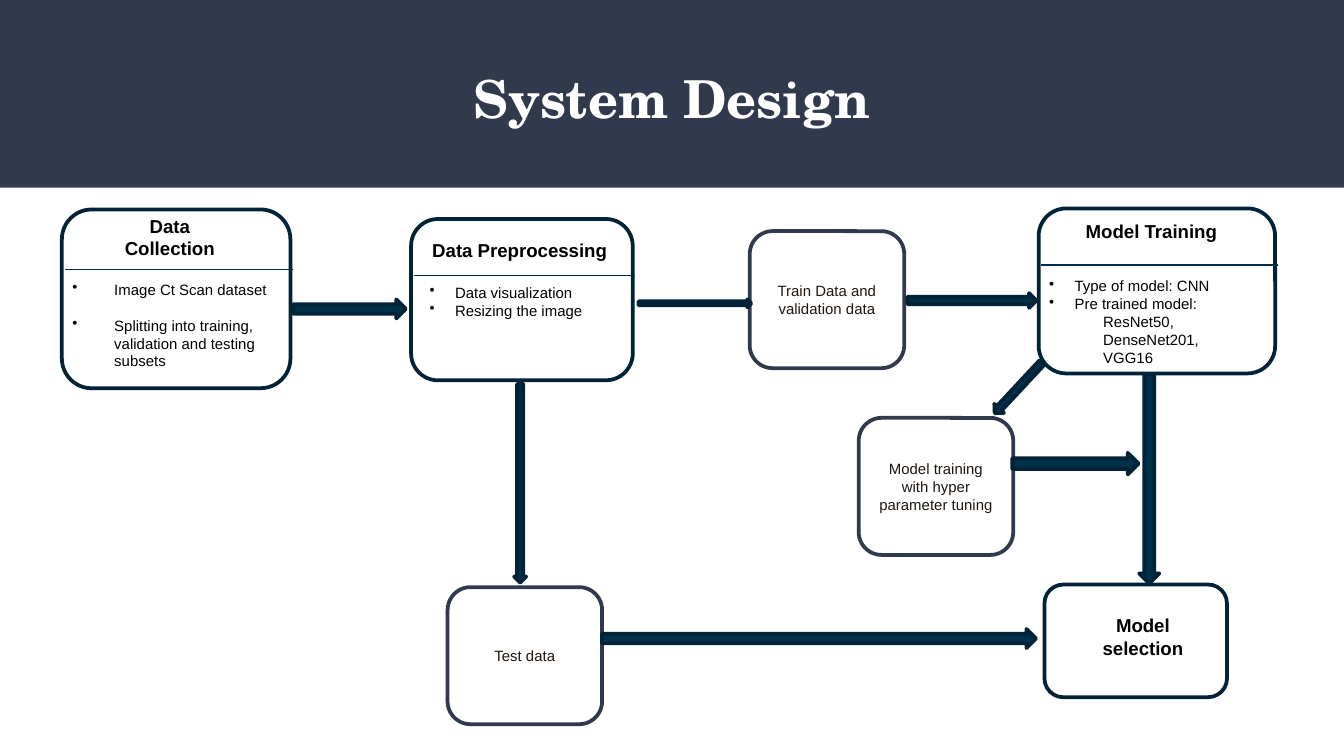
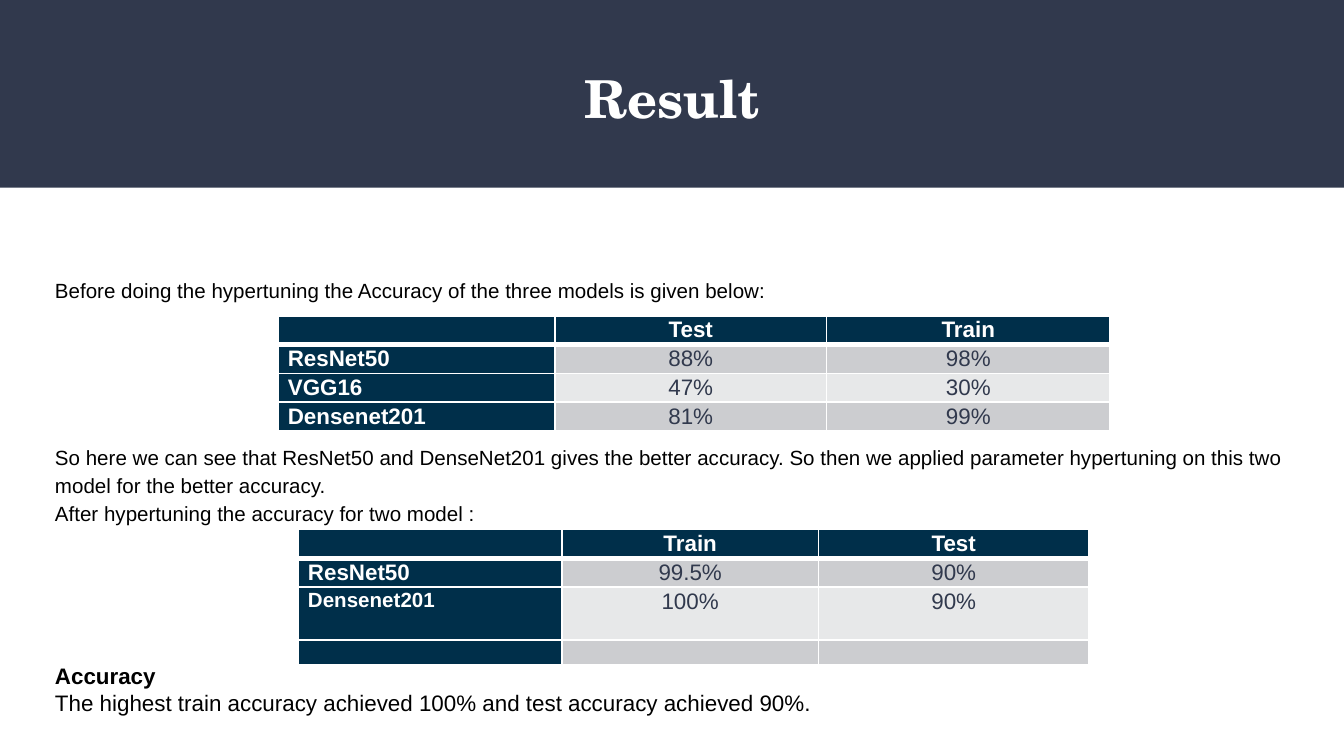
from lxml import etree
from pptx import Presentation
from pptx.dml.color import RGBColor
from pptx.enum.shapes import MSO_CONNECTOR as Connector, MSO_SHAPE as Preset
from pptx.enum.text import MSO_ANCHOR as Anchor, PP_ALIGN as Align
from pptx.oxml.ns import qn
from pptx.util import Cm, Pt

SLIDE_WIDTH, SLIDE_HEIGHT = 25.4, 14.29
SLATE = RGBColor(0x31, 0x39, 0x4D)
NAVY = RGBColor(0x00, 0x2F, 0x4A)
DIVIDER = RGBColor(0x00, 0x2E, 0x48)
OUTLINE = RGBColor(0x00, 0x23, 0x37)
BROWN = RGBColor(0x1F, 0x16, 0x0F)
BLACK = RGBColor(0x00, 0x00, 0x00)
WHITE = RGBColor(0xFF, 0xFF, 0xFF)
STRIPES = (RGBColor(0xCC, 0xCD, 0xD0), RGBColor(0xE7, 0xE8, 0xE9))
BODY_FONT, TITLE_FONT = "Arial", "TeX Gyre Schola"


def lengths(box):
    return [Cm(value) for value in box]


def format_runs(paragraph, size, color=BLACK, bold=False, name=BODY_FONT):
    for run in paragraph.runs:
        font = run.font
        font.name, font.size, font.bold = name, Pt(size), bold
        font.color.rgb = color


def add_text(slide, box, lines, size, color=BLACK, bold=False, name=BODY_FONT):
    frame = slide.shapes.add_textbox(*lengths(box)).text_frame
    frame.word_wrap = True
    frame.text = "\n".join(lines)
    for paragraph in frame.paragraphs:
        format_runs(paragraph, size, color, bold, name)
    return frame


def add_preset(slide, preset, box, fill=None, line=None, rotation=0):
    shape = slide.shapes.add_shape(preset, *lengths(box))
    shape.shadow.inherit = False
    shape.rotation = rotation
    if fill is None:
        shape.fill.background()
    else:
        shape.fill.solid()
        shape.fill.fore_color.rgb = fill
    if line is None:
        shape.line.fill.background()
    else:
        shape.line.color.rgb = line
        shape.line.width = Pt(2)
    return shape


def set_indent(paragraph, left, first=0, bullet=False):
    properties = paragraph._p.get_or_add_pPr()
    properties.set("marL", str(Cm(left)))
    properties.set("indent", str(Cm(first)))
    if bullet:
        etree.SubElement(properties, qn("a:buChar")).set("char", "•")


def add_title_slide(presentation, title, title_width):
    slide = presentation.slides.add_slide(presentation.slide_layouts[6])
    add_preset(slide, Preset.RECTANGLE, (0, 0, SLIDE_WIDTH, 3.55), SLATE)
    box = ((SLIDE_WIDTH - title_width) / 2, 1, title_width, 1.73)
    frame = add_text(slide, box, [title], 28, WHITE, True, TITLE_FONT)
    frame.margin_top = frame.margin_bottom = Cm(0.25)
    frame.paragraphs[0].alignment = Align.CENTER
    return slide


def add_card(slide, box, heading, heading_box, divider=None):
    left, top, width, _ = box
    add_preset(slide, Preset.ROUNDED_RECTANGLE, box, line=OUTLINE)
    if divider is not None:
        start, y = left + 0.05, top + divider
        line = slide.shapes.add_connector(
            Connector.STRAIGHT, *lengths((start, y, start + width, y)))
        line.line.color.rgb = DIVIDER
        line.line.width = Pt(0.75)
        etree.SubElement(line._element.spPr, qn("a:effectLst"))
    dx, dy, *size = heading_box
    frame = add_text(slide, (left + dx, top + dy, *size), [heading], 10, bold=True)
    return frame.paragraphs[0]


def add_card_list(slide, card, list_box, items, hang, sub_items=()):
    dx, dy, *size = list_box
    box = (card[0] + dx, card[1] + dy, *size)
    frame = add_text(slide, box, [*items, *sub_items], 8)
    for index, paragraph in enumerate(frame.paragraphs):
        if index < len(items):
            set_indent(paragraph, hang, -hang, bullet=True)
        else:
            set_indent(paragraph, 1.02)
    return frame.paragraphs


def add_data_box(slide, left, top, text):
    shape = add_preset(slide, Preset.ROUNDED_RECTANGLE, (left, top, 2.92, 2.59), WHITE, SLATE)
    frame = shape.text_frame
    frame.text = text
    frame.word_wrap = True
    frame.vertical_anchor = Anchor.MIDDLE
    frame.paragraphs[0].alignment = Align.CENTER
    format_runs(frame.paragraphs[0], 8, BROWN)


def add_system_design(presentation):
    slide = add_title_slide(presentation, "System Design", 8.89)

    collection = (1.17, 3.96, 4.32, 3.38)
    heading = add_card(slide, collection, "Data Collection", (0.94, -0.03, 3.02, 1.12), 1.14)
    set_indent(heading, 0, 0.47)
    steps = add_card_list(
        slide, collection, (-0.05, 1.22, 4.24, 1.96),
        ["Image Ct Scan dataset", "Splitting into training, validation and testing subsets"], 0.79)
    steps[1].space_before = Pt(9.5)

    training = (19.63, 3.94, 4.47, 3.12)
    add_card(slide, training, "Model Training", (0.64, 0.1, 3.2, 0.69), 1.07)
    add_card_list(
        slide, training, (-0.05, 1.17, 3.7, 1.96),
        ["Type of model: CNN", "Pre trained model:"], 0.48,
        ["ResNet50,", "DenseNet201,", "VGG16"])

    preprocessing = (7.77, 4.14, 4.19, 3.05)
    add_card(slide, preprocessing, "Data Preprocessing", (0.15, 0.25, 3.95, 0.69), 1.07)
    add_card_list(
        slide, preprocessing, (0.1, 1.09, 4.27, 0.94),
        ["Data visualization", "Resizing the image"], 0.48)

    selection = (19.74, 11.05, 3.45, 2.13)
    heading = add_card(slide, selection, "Model selection", (0.81, 0.43, 2.1, 1.12))
    heading.alignment = Align.CENTER

    for left, top, text in (
        (16.23, 7.9, "Model training with hyper parameter tuning"),
        (14.17, 4.37, "Train Data and validation data"),
        (8.46, 11.1, "Test data"),
    ):
        add_data_box(slide, left, top, text)

    for *box, rotation in (
        (5.54, 5.66, 2.13, 0.36, 0),
        (17.15, 5.54, 2.44, 0.28, 0),
        (19.74, 8.86, 3.96, 0.38, 90),
        (11.38, 11.89, 8.2, 0.36, 0),
        (18.59, 7.21, 1.3, 0.25, 133),
        (19.13, 8.56, 2.39, 0.41, 0),
        (12.07, 5.66, 2.13, 0.15, 0),
        (7.95, 9.02, 3.76, 0.23, 90),
    ):
        add_preset(slide, Preset.RIGHT_ARROW, box, NAVY, OUTLINE, rotation)


def set_borders(cell, row):
    properties = cell._tc.get_or_add_tcPr()
    widths = {"L": 1, "R": 1, "T": 3 if row == 1 else 1, "B": 3 if row == 0 else 1}
    for side, width in widths.items():
        border = etree.SubElement(properties, qn(f"a:ln{side}"), w=str(Pt(width)))
        fill = etree.SubElement(border, qn("a:solidFill"))
        etree.SubElement(fill, qn("a:srgbClr"), val=str(WHITE))


def add_accuracy_table(slide, left, top, widths, heights, rows):
    box = lengths((left, top, sum(widths), sum(heights)))
    table = slide.shapes.add_table(len(rows), len(widths), *box).table
    for column, width in zip(table.columns, widths):
        column.width = Cm(width)
    for r, values in enumerate(rows):
        table.rows[r].height = Cm(heights[r])
        for c, value in enumerate(values):
            cell = table.cell(r, c)
            header = r == 0 or c == 0
            set_borders(cell, r)
            cell.fill.solid()
            cell.fill.fore_color.rgb = NAVY if header else STRIPES[(r - 1) % 2]
            cell.margin_left = cell.margin_right = Cm(0.18)
            cell.margin_top = cell.margin_bottom = 0
            cell.text = value
            paragraph = cell.text_frame.paragraphs[0]
            paragraph.line_spacing = 1.07
            paragraph.alignment = Align.LEFT if c == 0 else Align.CENTER
            format_runs(paragraph, 12, WHITE if header else SLATE, header)
            if not value:
                etree.SubElement(paragraph._p, qn("a:endParaRPr"), sz="800")
    return table


def add_result(presentation):
    slide = add_title_slide(presentation, "Result", 4.98)
    frame = add_text(slide, (0.79, 4.11, 24.38, 10.1), [
        "Before doing the hypertuning the Accuracy of the three models is given below:",
        "So here we can see that ResNet50 and DenseNet201 gives the better accuracy. "
        "So then we applied parameter hypertuning on this two model for the better accuracy.",
        "After hypertuning the accuracy for two model :",
        "Accuracy",
        "The highest train accuracy achieved 100% and test accuracy achieved 90%.",
    ], 11)
    frame.margin_top = Cm(1.08)
    before, findings, after, accuracy, summary = frame.paragraphs
    for paragraph in (before, findings, after):
        paragraph.line_spacing = 1.15
    findings.space_before = Pt(74)
    accuracy.space_before = Pt(73)
    format_runs(accuracy, 12, bold=True)
    format_runs(summary, 12)

    add_accuracy_table(slide, 5.26, 5.97, (5.23, 5.13, 5.36), [0.54] * 4, [
        ("", "Test", "Train"),
        ("ResNet50", "88%", "98%"),
        ("VGG16", "47%", "30%"),
        ("Densenet201", "81%", "99%"),
    ])
    tuned = add_accuracy_table(slide, 5.64, 10.01, (4.98, 4.85, 5.11), (0.54, 0.54, 1, 0.46), [
        ("", "Train", "Test"),
        ("ResNet50", "99.5%", "90%"),
        ("Densenet201", "100%", "90%"),
        ("", "", ""),
    ])
    format_runs(tuned.cell(2, 0).text_frame.paragraphs[0], 11, WHITE, True)


def main():
    presentation = Presentation()
    presentation.slide_width = Cm(SLIDE_WIDTH)
    presentation.slide_height = Cm(SLIDE_HEIGHT)
    add_system_design(presentation)
    add_result(presentation)
    presentation.save("out.pptx")


if __name__ == "__main__":
    main()
